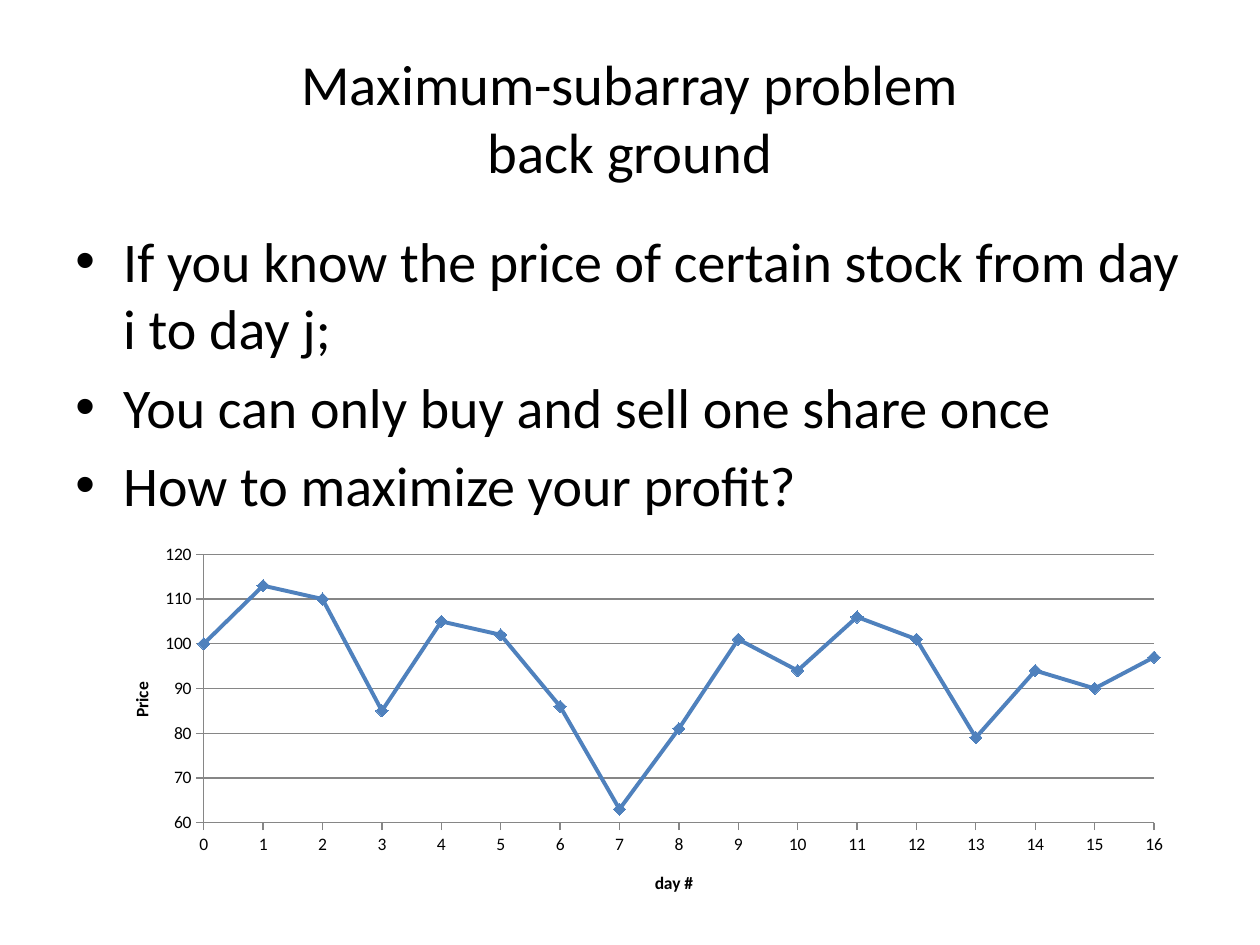
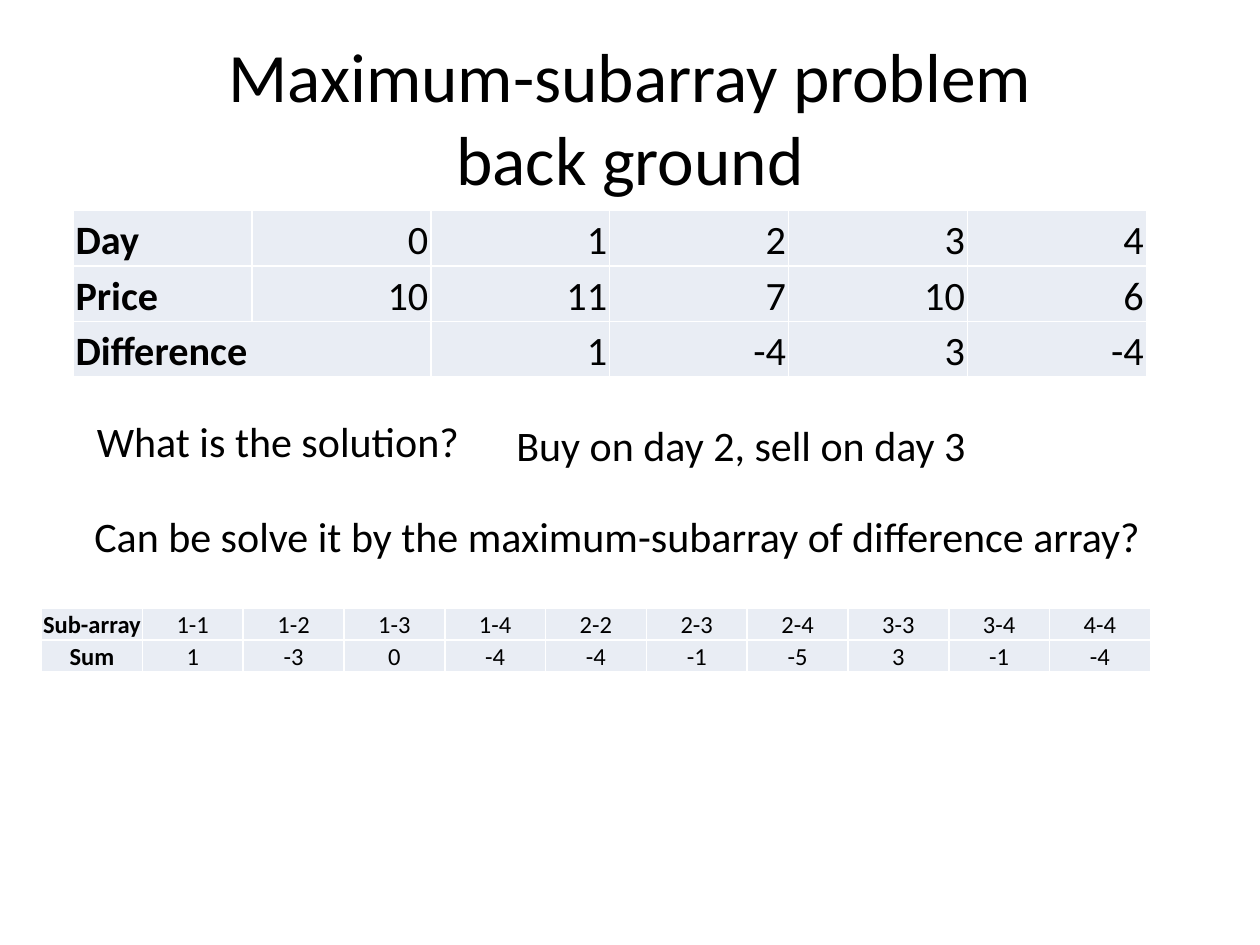
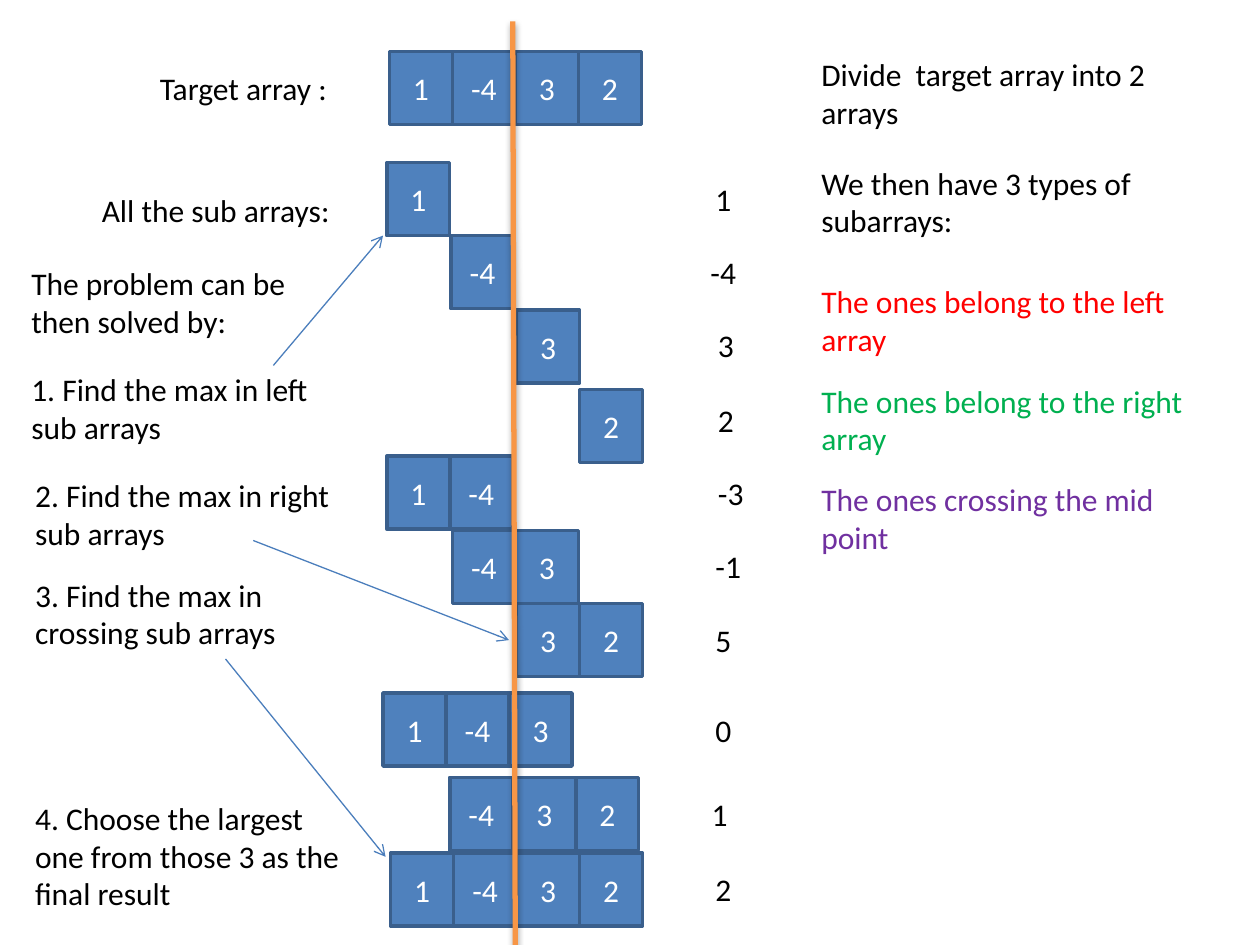
"""Build three slides on the maximum-subarray problem."""
from dataclasses import dataclass

from lxml.etree import Element, SubElement
from pptx import Presentation
from pptx.chart.data import XyChartData
from pptx.dml.color import RGBColor
from pptx.enum.chart import XL_CHART_TYPE as ChartType, XL_MARKER_STYLE as Marker
from pptx.enum.chart import XL_TICK_MARK as Tick
from pptx.enum.shapes import MSO_CONNECTOR as Connector, MSO_SHAPE as Shape
from pptx.enum.text import MSO_ANCHOR as Anchor, MSO_AUTO_SIZE as AutoSize, PP_ALIGN as Align
from pptx.oxml.ns import qn
from pptx.util import Emu, Inches, Pt


@dataclass(frozen=True)
class Theme:
    """Colours, font and type sizes."""
    font: str = "Calibri"
    ink: str = "000000"
    white: str = "FFFFFF"
    blue: str = "4F81BD"
    outline: str = "3A5F8C"
    arrow: str = "4B7EBC"
    orange: str = "F79646"
    band: str = "E9EDF4"
    grid: str = "868686"
    red: str = "FF0000"
    green: str = "00B050"
    purple: str = "7030A0"
    body: float = 32
    answer: float = 24
    large_cell: float = 23
    note: float = 18
    small_cell: float = 14
    axis: float = 10


THEME = Theme()

TITLE = ["Maximum-subarray problem", "back ground"]
BULLETS = [
    "If you know the price of certain stock from day i to day j;",
    "You can only buy and sell one share once",
    "How to maximize your profit?",
]
PRICES = [100, 113, 110, 85, 105, 102, 86, 63, 81, 101, 94, 106, 101, 79, 94, 90, 97]

PRICE_TABLE = [
    ["Day", "0", "1", "2", "3", "4"],
    ["Price", "10", "11", "7", "10", "6"],
    ["Difference", None, "1", "-4", "3", "-4"],
]
SUM_TABLE = [
    ["Sub-array", "1-1", "1-2", "1-3", "1-4", "2-2", "2-3", "2-4", "3-3", "3-4", "4-4"],
    ["Sum", "1", "-3", "0", "-4", "-4", "-1", "-5", "3", "-1", "-4"],
]
QUESTIONS = [
    ("What is the solution?", 0.67, 3.25, 3.75),
    ("Buy on day 2, sell on day 3", 4, 3.28, 4.5),
    ("Can be solve it by the maximum-subarray of difference array?", 0.65, 4, 8.77),
]

TARGET = [1, -4, 3, 2]
CELL_WIDTH, CELL_HEIGHT = 0.5, 0.58
TARGET_PLACE = (3.09, 0.41)
# first and last index, left and top of the row, left and top of its sum
SUBARRAYS = [
    (0, 0, 3.07, 1.29, 5.58, 1.38),
    (1, 1, 3.58, 1.87, 5.54, 1.96),
    (2, 2, 4.1, 2.46, 5.6, 2.54),
    (3, 3, 4.6, 3.09, 5.6, 3.13),
    (0, 1, 3.07, 3.62, 5.6, 3.71),
    (1, 2, 3.59, 4.21, 5.58, 4.29),
    (2, 3, 4.1, 4.79, 5.58, 4.88),
    (0, 2, 3.04, 5.5, 5.58, 5.59),
    (1, 3, 3.57, 6.17, 5.55, 6.26),
    (0, 3, 3.1, 6.77, 5.58, 6.86),
]
NOTES = [
    ("Target array :", 1.17, 0.5, 1.69, THEME.ink),
    ("All the sub arrays:", 0.71, 1.47, 2.17, THEME.ink),
    ("Divide  target array into 2 arrays", 6.42, 0.39, 3.09, THEME.ink),
    ("We then have 3 types of subarrays:", 6.42, 1.25, 3.09, THEME.ink),
    ("The ones belong to the left array", 6.42, 2.19, 3.09, THEME.red),
    ("The ones belong to the right array", 6.42, 2.98, 3.09, THEME.green),
    ("The ones crossing the mid point", 6.42, 3.76, 3.09, THEME.purple),
    ("The problem can be then solved by:", 0.15, 2.05, 2.43, THEME.ink),
    ("1. Find the max in left sub arrays", 0.15, 2.89, 2.72, THEME.ink),
    ("2. Find the max in right sub arrays", 0.18, 3.73, 2.72, THEME.ink),
    ("3. Find the max in crossing sub arrays", 0.18, 4.52, 2.72, THEME.ink),
    ("4. Choose the largest one from those 3 as the final result", 0.18, 6.29, 2.72, THEME.ink),
]
ARROWS = [
    (2.17, 2.9, 3.04, 1.87),
    (2.01, 4.29, 4.04, 5.08),
    (1.79, 5.23, 3.06, 6.8),
]
DIVIDER = (4.07, 0.17, 4.09, 7.67)


def rgb(colour):
    return RGBColor.from_string(colour)


def style_font(font, size, colour=THEME.ink, bold=False):
    font.name, font.size, font.bold = THEME.font, Pt(size), bold
    font.color.rgb = rgb(colour)


def add_span(para, text, size, colour=THEME.ink, bold=False):
    span = para.add_run()
    span.text = text
    style_font(span.font, size, colour, bold)


def add_title(slide, size):
    title = slide.shapes.title
    title.left, title.top, title.width, title.height = map(Inches, (0.5, 0.3, 9, 1.25))
    frame = title.text_frame
    frame.auto_size, frame.vertical_anchor = AutoSize.NONE, Anchor.MIDDLE
    para = frame.paragraphs[0]
    para.alignment = Align.CENTER
    for index, line in enumerate(TITLE):
        if index:
            para.add_line_break()
        add_span(para, line, size)


def add_box(slide, left, top, width, height):
    box = slide.shapes.add_textbox(*map(Inches, (left, top, width, height)))
    box.text_frame.word_wrap = True
    return box.text_frame


def add_note(slide, text, left, top, width, size=THEME.note, colour=THEME.ink, height=0.4):
    frame = add_box(slide, left, top, width, height)
    frame.auto_size = AutoSize.SHAPE_TO_FIT_TEXT
    add_span(frame.paragraphs[0], text, size, colour)


def add_bullets(slide):
    frame = add_box(slide, 0.5, 1.75, 9, 4.95)
    for index, text in enumerate(BULLETS):
        para = frame.add_paragraph() if index else frame.paragraphs[0]
        para.space_before = Pt(0.2 * THEME.body)
        add_span(para, text, THEME.body)
        props = para._p.get_or_add_pPr()
        props.set("marL", str(Inches(0.38)))
        props.set("indent", str(-Inches(0.38)))
        SubElement(props, qn("a:buFont"), typeface="Arial")
        SubElement(props, qn("a:buChar"), char="•")


def place_in_chart(parent, **fractions):
    layout = parent.find(qn("c:layout"))
    if layout is None:
        layout = Element(qn("c:layout"))
        parent.insert(0, layout)
    manual = SubElement(layout, qn("c:manualLayout"))
    if "w" in fractions:
        SubElement(manual, qn("c:layoutTarget"), val="inner")
    for side in ("x", "y"):
        SubElement(manual, qn(f"c:{side}Mode"), val="edge")
    for side, value in fractions.items():
        SubElement(manual, qn(f"c:{side}"), val=str(value))


def style_axis(axis, title, low, high, step, gridlines, x, y):
    axis.minimum_scale, axis.maximum_scale, axis.major_unit = low, high, step
    axis.major_tick_mark, axis.minor_tick_mark = Tick.OUTSIDE, Tick.NONE
    axis.has_major_gridlines = gridlines
    if gridlines:
        axis.major_gridlines.format.line.color.rgb = rgb(THEME.grid)
    axis.format.line.color.rgb = rgb(THEME.grid)
    style_font(axis.tick_labels.font, THEME.axis)
    add_span(axis.axis_title.text_frame.paragraphs[0], title, THEME.axis, bold=True)
    place_in_chart(axis.axis_title._element, x=x, y=y)


def add_price_chart(slide):
    data = XyChartData()
    points = data.add_series("Series 1")
    for day, price in enumerate(PRICES):
        points.add_data_point(day, price)
    place = map(Inches, (0.75, 4.25, 8.67, 3))
    chart = slide.shapes.add_chart(ChartType.XY_SCATTER_LINES, *place, data).chart
    chart.has_legend = chart.has_title = False
    style_font(chart.font, THEME.axis)
    style_axis(chart.category_axis, "day #", 0, 16, 1, False, 0.51, 0.88)
    style_axis(chart.value_axis, "Price", 60, 120, 10, True, 0.03, 0.38)
    place_in_chart(chart._chartSpace.chart.plotArea, x=0.1, y=0.05, w=0.87, h=0.71)
    series = chart.plots[0].series[0]
    series.smooth = False
    series.format.line.color.rgb = rgb(THEME.blue)
    series.format.line.width = Pt(2.25)
    series.marker.style, series.marker.size = Marker.DIAMOND, 7
    series.marker.format.fill.solid()
    series.marker.format.fill.fore_color.rgb = rgb(THEME.blue)
    series.marker.format.line.color.rgb = rgb(THEME.blue)


def add_borders(cell):
    props = cell._tc.get_or_add_tcPr()
    for index, side in enumerate(("lnL", "lnR", "lnT", "lnB")):
        line = Element(qn(f"a:{side}"), w=str(Pt(1)))
        SubElement(SubElement(line, qn("a:solidFill")), qn("a:srgbClr"), val=THEME.white)
        props.insert(index, line)


def add_grid(slide, rows, left, top, column, row_height, size, inset, head_align, align):
    count = len(rows[0])
    place = map(Inches, (left, top, column * count, row_height * len(rows)))
    table = slide.shapes.add_table(len(rows), count, *place).table
    table.first_row = table.horz_banding = False
    for row_index, row in enumerate(rows):
        table.rows[row_index].height = Inches(row_height)
        for column_index, text in enumerate(row):
            table.columns[column_index].width = Inches(column)
            cell = table.cell(row_index, column_index)
            cell.fill.solid()
            cell.fill.fore_color.rgb = rgb(THEME.band)
            add_borders(cell)
            cell.vertical_anchor = Anchor.BOTTOM
            cell.margin_left = cell.margin_right = cell.margin_top = Inches(inset)
            cell.margin_bottom = 0
            if text is None:
                table.cell(row_index, column_index - 1).merge(cell)
                continue
            is_head = column_index == 0
            para = cell.text_frame.paragraphs[0]
            para.alignment = head_align if is_head else align
            add_span(para, text, size, bold=is_head)


def add_array(slide, values, left, top):
    for index, value in enumerate(values):
        place = (left + index * CELL_WIDTH, top, CELL_WIDTH, CELL_HEIGHT)
        cell = slide.shapes.add_shape(Shape.RECTANGLE, *map(Inches, place))
        cell.shadow.inherit = False
        cell.fill.solid()
        cell.fill.fore_color.rgb = rgb(THEME.blue)
        cell.line.color.rgb = rgb(THEME.outline)
        cell.line.width = Pt(2)
        cell.text_frame.vertical_anchor = Anchor.MIDDLE
        para = cell.text_frame.paragraphs[0]
        para.alignment = Align.CENTER
        add_span(para, str(value), THEME.note, THEME.white)


def add_line(slide, ends, colour, width):
    line = slide.shapes.add_connector(Connector.STRAIGHT, *map(Inches, ends))
    line.line.color.rgb = rgb(colour)
    line.line.width = Pt(width)
    return line, SubElement(line._element.spPr, qn("a:effectLst"))


def add_divider(slide):
    effects = add_line(slide, DIVIDER, THEME.orange, 3)[1]
    shadow = SubElement(effects, qn("a:outerShdw"), blurRad=str(Pt(3.1)), dist=str(Pt(1.8)),
                        dir="5400000", rotWithShape="0")
    colour = SubElement(shadow, qn("a:srgbClr"), val=THEME.ink)
    SubElement(colour, qn("a:alpha"), val="35000")


def add_arrow(slide, ends):
    line = add_line(slide, ends, THEME.arrow, 0.75)[0]
    SubElement(line.line._get_or_add_ln(), qn("a:tailEnd"), type="arrow")


def build_prices(deck):
    slide = deck.slides.add_slide(deck.slide_layouts[5])
    add_title(slide, 32.4)
    add_bullets(slide)
    add_price_chart(slide)


def build_differences(deck):
    slide = deck.slides.add_slide(deck.slide_layouts[5])
    add_title(slide, 39.6)
    add_grid(slide, PRICE_TABLE, 0.58, 1.67, 1.42, 0.44, THEME.large_cell, 0.02,
             Align.LEFT, Align.RIGHT)
    add_grid(slide, SUM_TABLE, 0.33, 4.83, 0.8, 0.25, THEME.small_cell, 0.01,
             Align.CENTER, Align.CENTER)
    for text, left, top, width in QUESTIONS:
        add_note(slide, text, left, top, width, THEME.answer, height=0.5)


def build_subarrays(deck):
    slide = deck.slides.add_slide(deck.slide_layouts[6])
    add_array(slide, TARGET, *TARGET_PLACE)
    for first, last, left, top, sum_left, sum_top in SUBARRAYS:
        values = TARGET[first:last + 1]
        add_array(slide, values, left, top)
        add_note(slide, str(sum(values)), sum_left, sum_top, 1.17)
    add_divider(slide)
    for text, left, top, width, colour in NOTES:
        lines = -(-len(text) // 26)
        add_note(slide, text, left, top, width, colour=colour, height=0.1 + 0.3 * lines)
    for ends in ARROWS:
        add_arrow(slide, ends)


def main():
    deck = Presentation()
    deck.slide_width, deck.slide_height = Inches(10), Inches(7.5)
    build_prices(deck)
    build_differences(deck)
    build_subarrays(deck)
    deck.save("out.pptx")


main()
